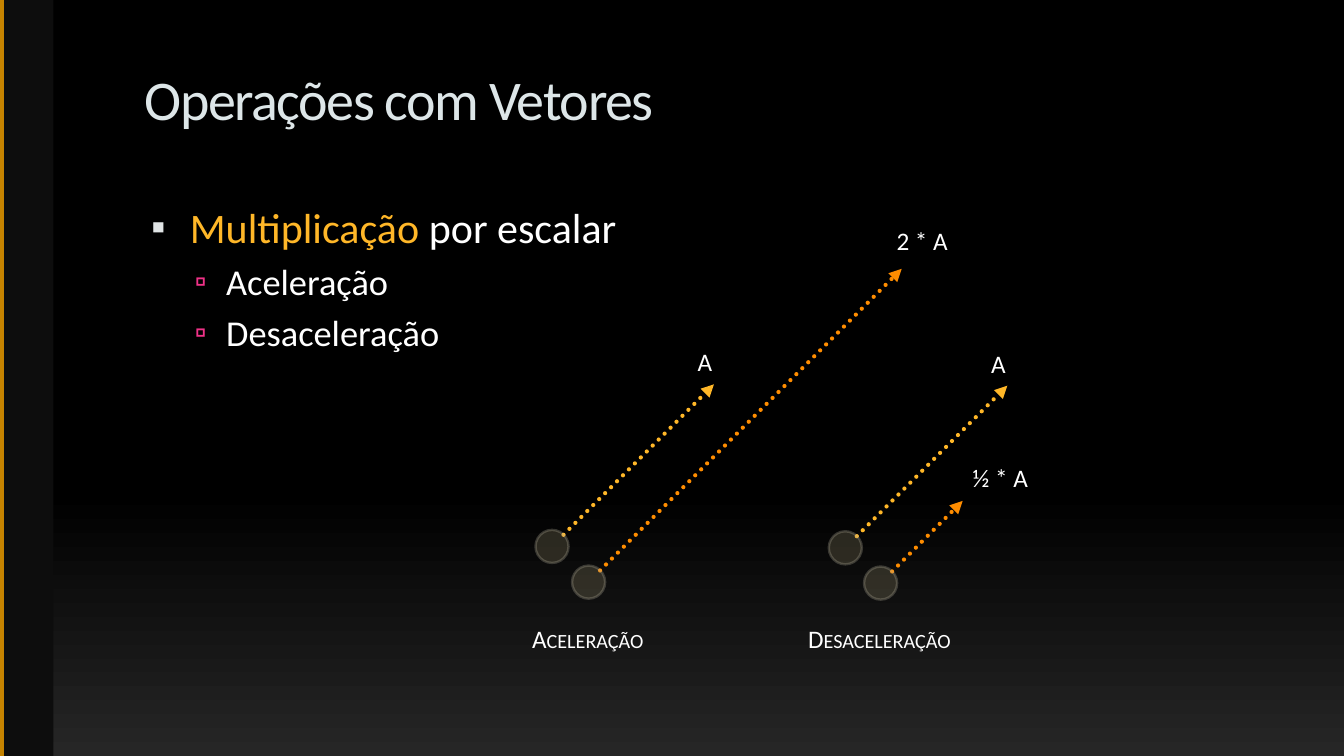
from lxml import etree
from pptx import Presentation
from pptx.dml.color import RGBColor
from pptx.enum.dml import MSO_LINE
from pptx.enum.shapes import MSO_CONNECTOR, MSO_SHAPE
from pptx.enum.text import MSO_ANCHOR, MSO_AUTO_SIZE, PP_ALIGN
from pptx.oxml.ns import qn
from pptx.util import Pt

STRAIGHT = MSO_CONNECTOR.STRAIGHT
RECTANGLE, OVAL = MSO_SHAPE.RECTANGLE, MSO_SHAPE.OVAL
DOTTED = MSO_LINE.ROUND_DOT
TOP, LEFT = MSO_ANCHOR.TOP, PP_ALIGN.LEFT
FIXED, GROW = MSO_AUTO_SIZE.NONE, MSO_AUTO_SIZE.SHAPE_TO_FIT_TEXT


class Theme:
    font = "Calibri"
    title_size, list_size, sublist_size, label_size = 40, 30, 26, 18
    black = RGBColor.from_string("000000")
    floor = RGBColor.from_string("262626")
    sidebar = RGBColor.from_string("0D0D0D")
    edge = RGBColor.from_string("C58300")
    title = RGBColor.from_string("DDE6E8")
    text = RGBColor.from_string("FFFFFF")
    vector = RGBColor.from_string("FFB728")
    scaled = RGBColor.from_string("FF8D00")
    ball = RGBColor.from_string("9D936F")
    ball_line = RGBColor.from_string("C4BEA9")
    bullet, subbullet = "E0E4E5", "F03288"


def style(paragraph, size, color):
    paragraph.alignment = LEFT
    paragraph.font.name = Theme.font
    paragraph.font.size = Pt(size)
    paragraph.font.color.rgb = color


def add_line(shapes, start, end, color):
    line = shapes.add_connector(STRAIGHT, *(Pt(value) for value in (*start, *end)))
    line.line.color.rgb = color
    line.line.width = Pt(3)
    etree.SubElement(line._element.spPr, qn("a:effectLst"))
    return line


presentation = Presentation()
presentation.slide_width, presentation.slide_height = Pt(960), Pt(540)
slide = presentation.slides.add_slide(presentation.slide_layouts[1])

background = slide.background.fill
background.gradient()
background.gradient_angle = 270
stops = ((0.65, Theme.black), (1, Theme.floor))
for stop, (position, color) in zip(background.gradient_stops, stops):
    stop.position = position
    stop.color.rgb = color

sidebar = slide.shapes.add_shape(RECTANGLE, 0, 0, Pt(38.2), Pt(540))
sidebar.shadow.inherit = False
sidebar.fill.solid()
sidebar.fill.fore_color.rgb = Theme.sidebar
sidebar.line.fill.background()
add_line(slide.shapes, (1.5, 0), (1.5, 540), Theme.edge)

title = slide.shapes.title
title.left, title.top, title.width, title.height = Pt(96), Pt(40.3), Pt(684.7), Pt(72)
title.text_frame.text = "Operações com Vetores"
title.text_frame.vertical_anchor = TOP
title.text_frame.margin_top = Pt(6)
title.text_frame.auto_size = FIXED
title_paragraph = title.text_frame.paragraphs[0]
style(title_paragraph, Theme.title_size, Theme.title)
title_paragraph.runs[0]._r.get_or_add_rPr().set("spc", "-100")

body = slide.placeholders[1]
body.left, body.top, body.width, body.height = Pt(96), Pt(140.4), Pt(815.8), Pt(360)
body.text_frame.auto_size = FIXED
items = [
    (0, ("Multiplicação", " por escalar")),
    (1, ("Aceleração",)),
    (1, ("Desaceleração",)),
]
levels = [
    (Theme.list_size, 7, 32.4, -27.4, "▪", Theme.bullet, 95),
    (Theme.sublist_size, 5.2, 58.3, -22.3, "▫", Theme.subbullet, 90),
]
for index, (level, texts) in enumerate(items):
    size, space, margin, indent, mark, mark_color, mark_size = levels[level]
    paragraph = body.text_frame.paragraphs[0] if index == 0 else body.text_frame.add_paragraph()
    paragraph.level = level
    paragraph.space_before = Pt(space)
    for text in texts:
        paragraph.add_run().text = text
    properties = paragraph._p.get_or_add_pPr()
    properties.set("marL", str(Pt(margin)))
    properties.set("indent", str(Pt(indent)))
    bullet_color = etree.SubElement(properties, qn("a:buClr"))
    etree.SubElement(bullet_color, qn("a:srgbClr"), val=mark_color)
    etree.SubElement(properties, qn("a:buSzPct"), val=str(mark_size * 1000))
    etree.SubElement(properties, qn("a:buFont"), typeface=Theme.font)
    etree.SubElement(properties, qn("a:buChar"), char=mark)
    style(paragraph, size, Theme.text)
body.text_frame.paragraphs[0].runs[0].font.color.rgb = Theme.vector

diagrams = [
    ("Desaceleração", (570.2, 442, 117.4), [
        ("A", (612, 383), 107.5, (-18.7, -30.5), 25.2, Theme.vector),
        ("½ * A", (637.2, 408.2), 50.4, (0, -31), 54.7, Theme.scaled),
    ]),
    ("Aceleração", (373, 442, 94.3), [
        ("A", (402.5, 382), 107.5, (-18.7, -30.5), 25.2, Theme.vector),
        ("2 * A", (428.6, 407.5), 215.5, (-10.8, -34.6), 51.8, Theme.scaled),
    ]),
]
for caption, caption_place, vectors in diagrams:
    shapes = slide.shapes.add_group_shape().shapes
    labels = [(caption, *caption_place)]
    for name, (x, y), reach, (shift_x, shift_y), width, color in vectors:
        head_x, head_y = x + reach, y - reach
        labels.append((name, head_x + shift_x, head_y + shift_y, width))

        arrow = add_line(shapes, (x, y), (head_x, head_y), color)
        arrow.line.dash_style = DOTTED
        outline = arrow.line._get_or_add_ln()
        outline.set("cap", "rnd")
        etree.SubElement(outline, qn("a:tailEnd"), type="triangle")

        ball = shapes.add_shape(OVAL, Pt(x - 20), Pt(y - 3.5), Pt(23.6), Pt(23.6))
        ball.shadow.inherit = False
        ball.fill.solid()
        ball.fill.fore_color.rgb = Theme.ball
        ball.line.color.rgb = Theme.ball_line
        ball.line.width = Pt(1.75)
        for color_element in ball._element.spPr.iter(qn("a:srgbClr")):
            etree.SubElement(color_element, qn("a:alpha"), val="25000")

    for text, left, top, width in labels:
        label = shapes.add_textbox(Pt(left), Pt(top), Pt(width), Pt(29))
        label.text_frame.text = text
        label.text_frame.word_wrap = False
        label.text_frame.auto_size = GROW
        paragraph = label.text_frame.paragraphs[0]
        style(paragraph, Theme.label_size, Theme.text)
        if text == caption:
            paragraph.runs[0]._r.get_or_add_rPr().set("cap", "small")

presentation.save("out.pptx")
